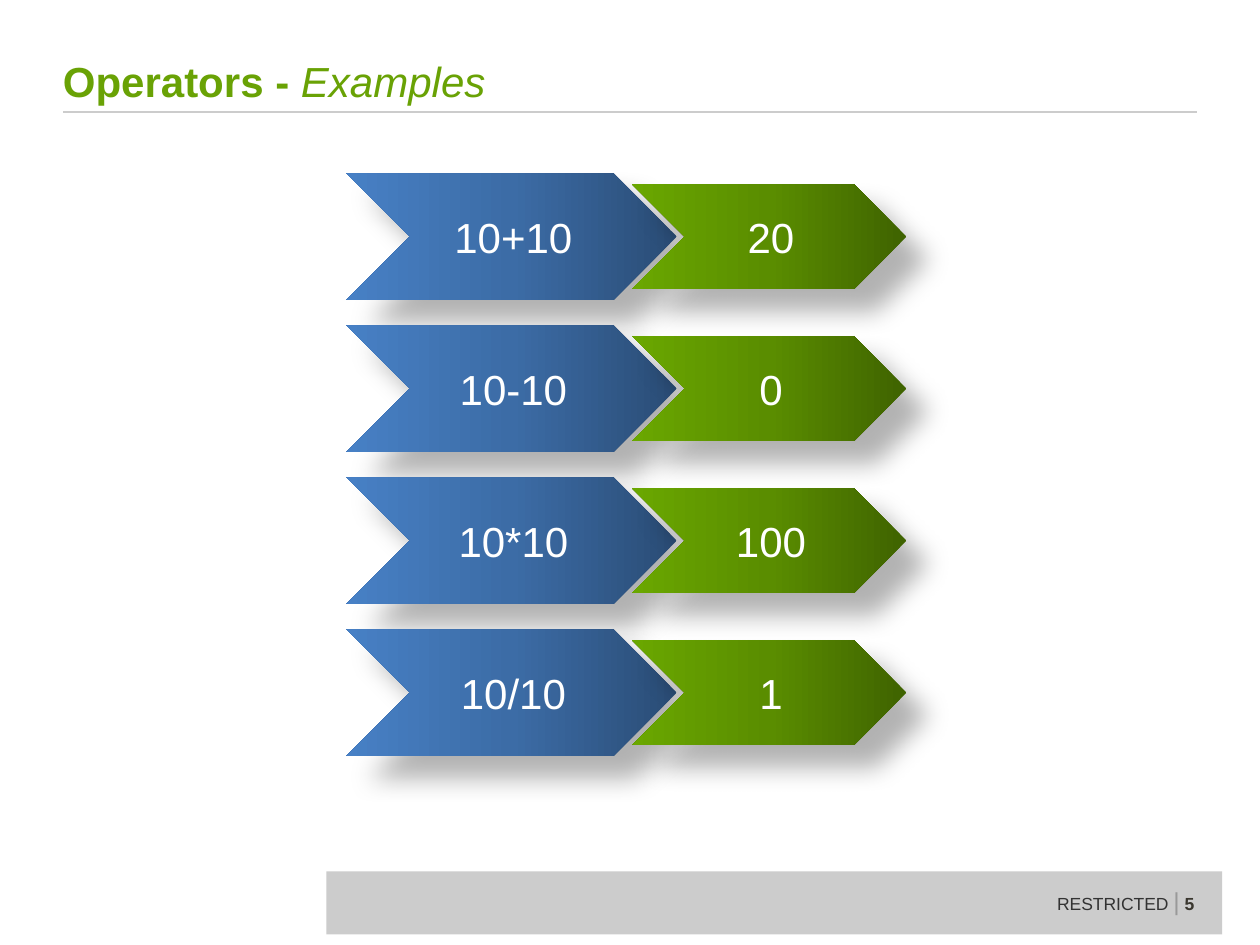
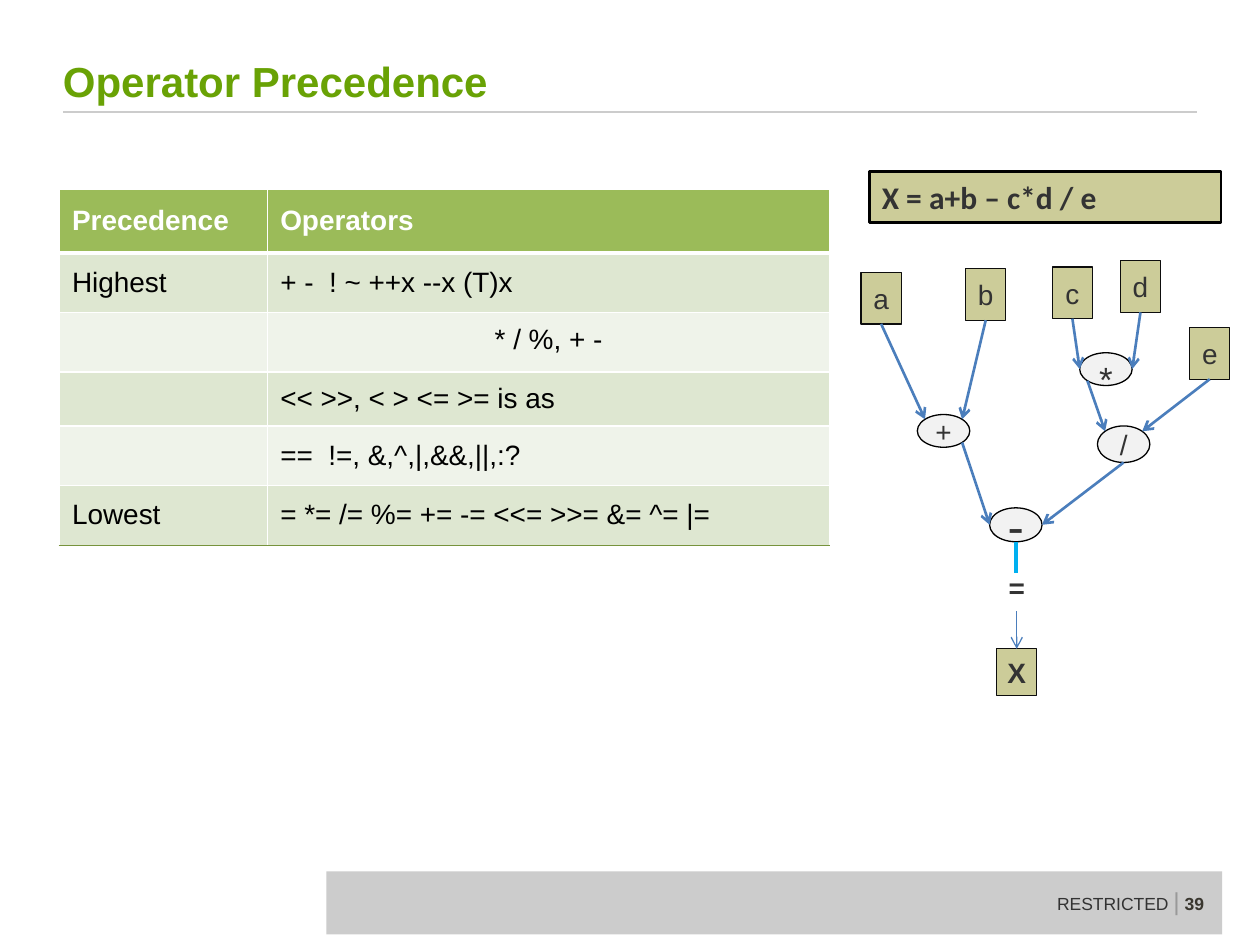
"""Build two slides on operators: worked examples and precedence."""
from math import sqrt

from lxml import etree
from pptx import Presentation
from pptx.dml.color import RGBColor
from pptx.enum.shapes import MSO_CONNECTOR, MSO_SHAPE
from pptx.enum.text import MSO_ANCHOR, PP_ALIGN
from pptx.oxml.ns import qn
from pptx.util import Pt

RECT, OVAL, CHEVRON = MSO_SHAPE.RECTANGLE, MSO_SHAPE.OVAL, MSO_SHAPE.CHEVRON
STRAIGHT = MSO_CONNECTOR.STRAIGHT
TOP, MIDDLE, BOTTOM = MSO_ANCHOR.TOP, MSO_ANCHOR.MIDDLE, MSO_ANCHOR.BOTTOM
LEFT, CENTER = PP_ALIGN.LEFT, PP_ALIGN.CENTER

WHITE = RGBColor(0xFF, 0xFF, 0xFF)
BLACK = RGBColor(0, 0, 0)
TITLE_GREEN = RGBColor(0x69, 0xA2, 0x05)
BAND_GREY = RGBColor(0xCC, 0xCC, 0xCC)
TEXT_GREY = RGBColor(0x33, 0x33, 0x33)
BAR_GREY = RGBColor(0x99, 0x99, 0x99)
PAGE_BROWN = RGBColor(0x3A, 0x37, 0x2F)
HEADER_GREEN = RGBColor(0x9B, 0xBB, 0x59)
ROW_DARK = RGBColor(0xDE, 0xE7, 0xD1)
ROW_LIGHT = RGBColor(0xEF, 0xF3, 0xEA)
TABLE_END = RGBColor(0x77, 0x93, 0x3C)
KHAKI = RGBColor(0xCC, 0xCC, 0x99)
NODE_LINE = RGBColor(0x0D, 0x0D, 0x0D)
NODE_GREY = RGBColor(0xF2, 0xF2, 0xF2)
ARROW_BLUE = RGBColor(0x4B, 0x7E, 0xBC)
CYAN = RGBColor(0x00, 0xB0, 0xF0)
BLUES = [RGBColor(0x2A, 0x4C, 0x75), RGBColor(0x3C, 0x6C, 0xA6), RGBColor(0x47, 0x80, 0xC5)]
GREENS = [RGBColor(0x3F, 0x63, 0x00), RGBColor(0x5A, 0x8D, 0x00), RGBColor(0x6A, 0xA7, 0x00)]

EXAMPLES = [("10+10", "20"), ("10-10", "0"), ("10*10", "100"), ("10/10", "1")]
PRECEDENCE = [
    ("Precedence", "Operators"),
    ("Highest", "+ -  ! ~ ++x --x (T)x"),
    ("", "* / %, + -"),
    ("", "<< >>, < > <= >= is as"),
    ("", "==  !=, &,^,|,&&,||,:?"),
    ("Lowest", "= *= /= %= += -= <<= >>= &= ^= |="),
]
COL_WIDTHS = [119, 321]
ROW_HEIGHTS = [36.5, 34, 34, 31, 34, 34]
OPERANDS = {"a": (0, 57.6), "b": (59.8, 55.5), "c": (109.3, 54.6),
            "d": (148.2, 51), "e": (187.8, 89.2)}
OPERATORS = {"+": (32.2, 138.9, 18.7, 16), "*": (125, 103.6, 18.7, 20),
             "/": (135.1, 145.4, 20.9, 16), "-": (73.5, 192.2, 19.4, 28)}
DIAG = 1 / sqrt(2)
OPERAND_ARROWS = [("a", "+", -DIAG, -DIAG), ("b", "+", DIAG, -DIAG),
                  ("c", "*", -1, 0), ("d", "*", 1, 0), ("e", "/", DIAG, -DIAG)]
OPERATOR_ARROWS = [("*", -DIAG, DIAG, "/", -DIAG, -DIAG),
                   ("+", DIAG, DIAG, "-", -1, 0), ("/", 0, 1, "-", 1, 0)]


def add_sub(parent, tag, **attrs):
    """Append a drawing element with the given attributes."""
    return etree.SubElement(parent, qn(tag), attrs)


def set_font(font, size, color, bold=False, name="Arial"):
    """Set the face, size, colour and weight of a font."""
    font.name, font.size, font.bold = name, Pt(size), bold
    font.color.rgb = color


def set_frame(tf, anchor, margins=(0, 0, 0, 0), wrap=False):
    """Set anchor, wrapping and left, top, right, bottom margins."""
    tf.word_wrap, tf.vertical_anchor = wrap, anchor
    tf.margin_left, tf.margin_top, tf.margin_right, tf.margin_bottom = map(Pt, margins)


def add_text(tf, text, size, color, bold=False, align=CENTER, name="Arial"):
    """Write one uniform paragraph."""
    p = tf.paragraphs[0]
    p.text, p.alignment = text, align
    set_font(p.font, size, color, bold, name)
    return p


def add_box(slide, kind, box, fill=None, line=None, weight=0.75):
    """Add a flat preset shape at a box in points."""
    sp = slide.shapes.add_shape(kind, *map(Pt, box))
    sp.shadow.inherit = False
    if fill is not None:
        sp.fill.solid()
        sp.fill.fore_color.rgb = fill
    if line is None:
        sp.line.fill.background()
    else:
        sp.line.color.rgb, sp.line.width = line, Pt(weight)
    return sp


def add_line(slide, start, end, color, weight, arrow=False):
    """Add a flat straight connector between two points."""
    cxn = slide.shapes.add_connector(STRAIGHT, *start, *end)
    cxn.line.color.rgb, cxn.line.width = color, Pt(weight)
    if arrow:
        add_sub(cxn.get_or_add_ln(), "a:tailEnd", type="arrow")
    add_sub(cxn._element.spPr, "a:effectLst")
    return cxn


def add_title(slide, left, top, width, height, text, note=""):
    """Add the title, with an italic note, above its rule."""
    add_line(slide, (Pt(left), Pt(top + height)), (Pt(left + width), Pt(top + height)),
             BAND_GREY, 1.5)
    tf = slide.shapes.add_textbox(*map(Pt, (left, top, width, height))).text_frame
    set_frame(tf, BOTTOM, (0, 0, 0, 3.6), wrap=True)
    p = add_text(tf, text, 24, TITLE_GREEN, True, LEFT)
    if note:
        r = p.add_run()
        r.text = note
        r.font.bold, r.font.italic = False, True


def add_footer(slide, left, top, width, height, page):
    """Add the grey band with its label and page number."""
    add_box(slide, RECT, (left, top, width, height), BAND_GREY)
    label = (left + width - 101.5, top + 5, 101.5, 24.5)
    tf = slide.shapes.add_textbox(*map(Pt, label)).text_frame
    set_frame(tf, TOP, (7.2, 3.6, 0, 3.6), wrap=True)
    p = tf.paragraphs[0]
    for text, size, color, bold in [("RESTRICTED ", 10, TEXT_GREY, False),
                                    ("|", 14, BAR_GREY, False),
                                    (f" {page}", 10, PAGE_BROWN, True)]:
        r = p.add_run()
        r.text = text
        set_font(r.font, size, color, bold)


def add_chevron(slide, box, text, colors):
    """Add a shaded chevron with a soft shadow."""
    sp = add_box(slide, CHEVRON, box)
    sp.fill.gradient()
    sp.fill.gradient_angle = 180
    stops = sp._element.spPr.find(".//" + qn("a:gsLst"))
    for old in list(stops):
        stops.remove(old)
    for i, color in enumerate(colors):
        gs = add_sub(stops, "a:gs", pos=str(i * 50000))
        add_sub(gs, "a:srgbClr", val=str(color))
    shadow = add_sub(sp._element.spPr.find(qn("a:effectLst")), "a:outerShdw",
                     blurRad=str(Pt(15)), dist=str(Pt(18)), dir="2700000", rotWithShape="0")
    add_sub(add_sub(shadow, "a:srgbClr", val=str(BLACK)), "a:alpha", val="30000")
    set_frame(sp.text_frame, MIDDLE, (2, 1.5, 0, 1.5))
    add_text(sp.text_frame, text, 24, WHITE)


def add_examples(slide, left, top, width, height):
    """Pair each expression with its result in equal rows."""
    gap = 14.5
    tall = (height - gap * (len(EXAMPLES) - 1)) / len(EXAMPLES)
    short, wide, narrow = tall * 0.83, width * 0.59, width * 0.49
    for i, (expression, result) in enumerate(EXAMPLES):
        y = top + i * (tall + gap)
        add_chevron(slide, (left, y, wide, tall), expression, BLUES)
        add_chevron(slide, (left + width - narrow, y + (tall - short) / 2, narrow, short),
                    result, GREENS)


def set_borders(cell, bottom, weight):
    """Draw white cell borders with a given bottom edge."""
    tcPr = cell._tc.get_or_add_tcPr()
    edges = [("L", WHITE, 1), ("R", WHITE, 1), ("T", WHITE, 1), ("B", bottom, weight)]
    for i, (side, color, pts) in enumerate(edges):
        ln = etree.Element(qn(f"a:ln{side}"), w=str(Pt(pts)))
        add_sub(add_sub(ln, "a:solidFill"), "a:srgbClr", val=str(color))
        tcPr.insert(i, ln)


def add_precedence_table(slide, left, top):
    """Add the table of operators from highest to lowest."""
    box = (left, top, sum(COL_WIDTHS), sum(ROW_HEIGHTS))
    table = slide.shapes.add_table(len(PRECEDENCE), 2, *map(Pt, box)).table
    for col, width in zip(table.columns, COL_WIDTHS):
        col.width = Pt(width)
    for i, row in enumerate(PRECEDENCE):
        table.rows[i].height = Pt(ROW_HEIGHTS[i])
        header, last = i == 0, i == len(PRECEDENCE) - 1
        for j, text in enumerate(row):
            cell = table.cell(i, j)
            cell.vertical_anchor = MIDDLE
            cell.fill.solid()
            cell.fill.fore_color.rgb = (HEADER_GREEN if header
                                        else ROW_DARK if i % 2 else ROW_LIGHT)
            add_text(cell.text_frame, text, 16, WHITE if header else BLACK, header, LEFT)
            set_borders(cell, TABLE_END if last else WHITE,
                        3 if header else 0.25 if last else 1)
    arithmetic = table.cell(2, 1)
    arithmetic.vertical_anchor, arithmetic.margin_top = TOP, Pt(6.6)
    arithmetic.text_frame.paragraphs[0].alignment = CENTER


def site(sp, dx, dy):
    """Return a point of a shape, offset in half sizes from its centre."""
    return (sp.left + int(sp.width * (1 + dx) / 2), sp.top + int(sp.height * (1 + dy) / 2))


def add_tree(slide, left, top):
    """Add the formula and the tree that evaluates it."""
    nodes = {}

    def add_node(kind, text, x, y, w, h, fill, line, size=16, bold=False):
        """Add a labelled node relative to the tree."""
        sp = add_box(slide, kind, (left + x, top + y, w, h), fill, line)
        set_frame(sp.text_frame, MIDDLE)
        add_text(sp.text_frame, text, size, TEXT_GREY, bold)
        nodes[text] = sp

    formula = add_box(slide, RECT, (left + 4.8, top, 201, 29), KHAKI, BLACK, 1.5)
    set_frame(formula.text_frame, MIDDLE, (7.2, 3.6, 7.2, 3.6))
    add_text(formula.text_frame, "X = a+b – c*d / e", 18, TEXT_GREY, True, LEFT, "Calibri")
    for name, (x, y) in OPERANDS.items():
        add_node(RECT, name, x, y, 23, 29.5, KHAKI, NODE_LINE)
    for name, (x, y, h, size) in OPERATORS.items():
        add_node(OVAL, name, x, y, 30, h, NODE_GREY, BLACK, size)
    nodes["*"].text_frame.margin_top = Pt(11)
    add_node(RECT, "X", 77.5, 272.8, 23, 26.6, KHAKI, NODE_LINE, bold=True)
    equals = slide.shapes.add_textbox(*map(Pt, (left + 77.5, top + 224.6, 23, 26.6)))
    set_frame(equals.text_frame, MIDDLE)
    add_text(equals.text_frame, "=", 16, TEXT_GREY, True)

    for name, target, dx, dy in OPERAND_ARROWS:
        cxn = add_line(slide, site(nodes[name], 0, 1), site(nodes[target], dx, dy),
                       ARROW_BLUE, 1.5, True)
        cxn.begin_connect(nodes[name], 2)
    for name, x1, y1, target, x2, y2 in OPERATOR_ARROWS:
        add_line(slide, site(nodes[name], x1, y1), site(nodes[target], x2, y2),
                 ARROW_BLUE, 1.5, True)
    x, y = site(nodes["-"], 0, 1)
    add_line(slide, (x, y), (x, y + Pt(18)), CYAN, 2.25)
    cxn = add_line(slide, site(equals, 0, 1), site(nodes["X"], 0, -1), ARROW_BLUE, 0.75, True)
    cxn.begin_connect(equals, 2)
    cxn.end_connect(nodes["X"], 0)


def add_slide(prs, page, title, note=""):
    """Add a blank slide with the shared title and footer."""
    slide = prs.slides.add_slide(prs.slide_layouts[6])
    add_footer(slide, 186.5, 498, 512, 36, page)
    add_title(slide, 36, 1.5, 648, 62.5, title, note)
    return slide


def main():
    """Build and save the presentation."""
    prs = Presentation()
    prs.slide_width, prs.slide_height = Pt(720), Pt(540)
    add_examples(add_slide(prs, 5, "Operators -", " Examples"), 198, 99, 320, 333)
    slide = add_slide(prs, 39, "Operator Precedence")
    add_precedence_table(slide, 34, 108)
    add_tree(slide, 492, 98)
    prs.save("out.pptx")


if __name__ == "__main__":
    main()
